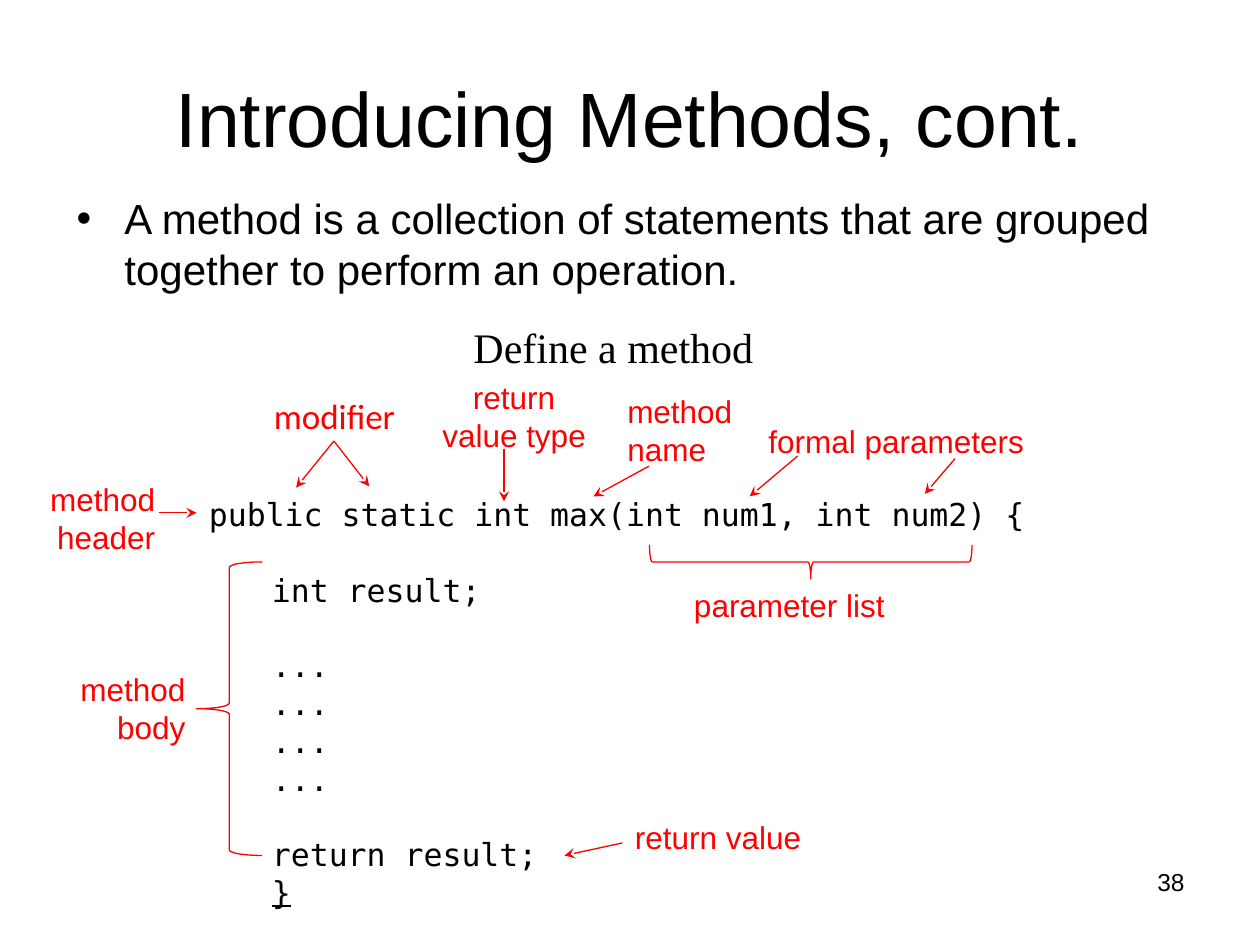
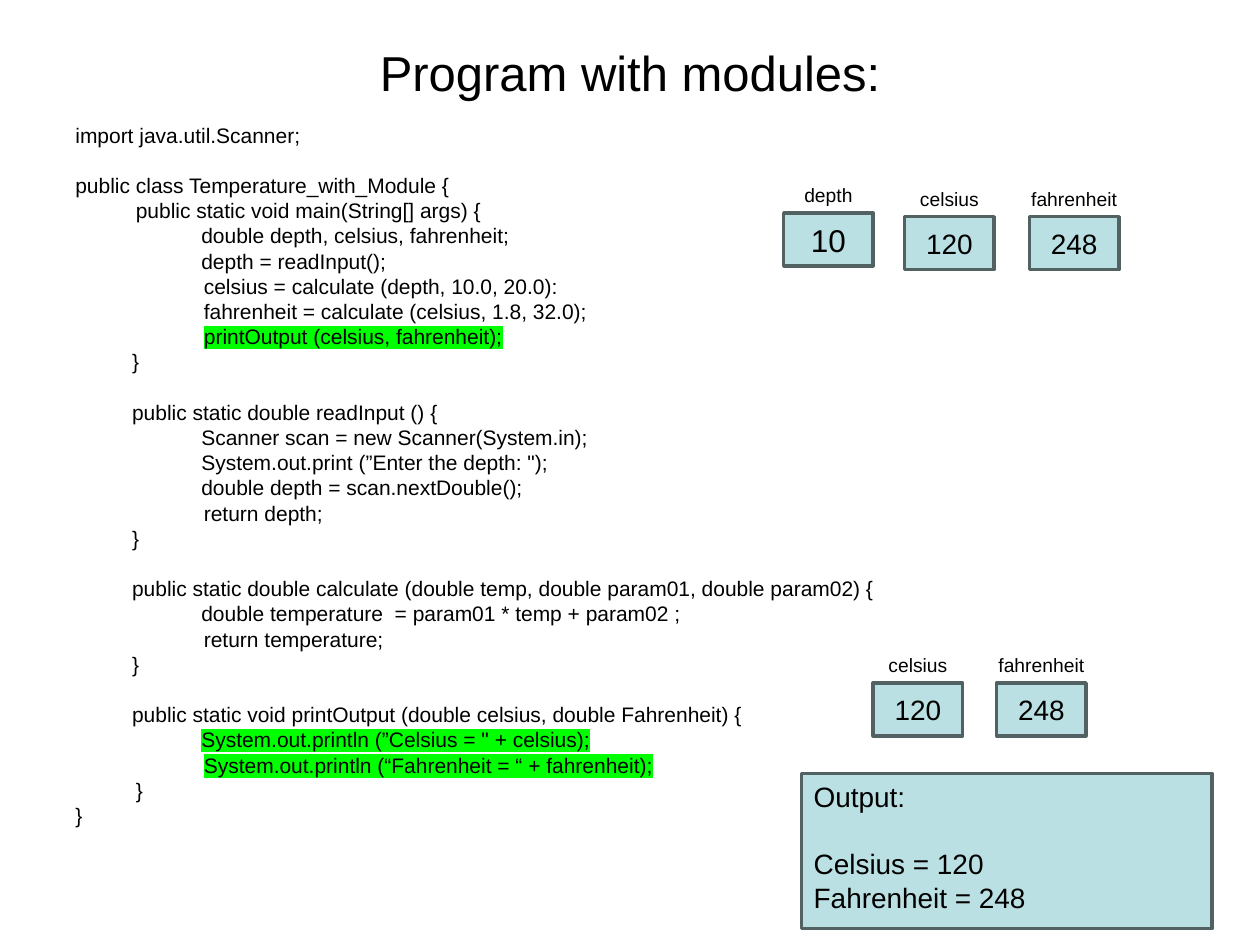
"""Build two slides on methods and modules in Java."""
from lxml.etree import SubElement
from pptx import Presentation
from pptx.dml.color import RGBColor
from pptx.enum.shapes import MSO_CONNECTOR, MSO_SHAPE
from pptx.enum.text import MSO_ANCHOR, PP_ALIGN
from pptx.oxml import parse_xml
from pptx.oxml.ns import nsdecls, qn
from pptx.util import Inches, Pt

RED, BLACK, TEAL, SLATE, GREEN = "FF0000", "000000", "BBE0E3", "526263", "00FF00"
LEFT, MID, RIGHT = PP_ALIGN.LEFT, PP_ALIGN.CENTER, PP_ALIGN.RIGHT
hue = RGBColor.from_string


def put(slide, at, text, size, align=LEFT, tint=BLACK, face="Arial",
        fill=None, center=False, marks=()):
    """Place text, in a filled box if asked; an empty line becomes a gap."""
    spot = [Inches(n) for n in at]
    if fill:
        box = slide.shapes.add_shape(MSO_SHAPE.RECTANGLE, *spot)
        box.shadow.inherit = False
        box.fill.solid()
        box.fill.fore_color.rgb = hue(fill)
        box.line.color.rgb = hue(SLATE)
        box.line.width = Pt(2)
    else:
        box = slide.shapes.add_textbox(*spot)
    frame = box.text_frame
    frame.word_wrap = at[3] > 0.5
    frame.vertical_anchor = MSO_ANCHOR.MIDDLE if center else MSO_ANCHOR.TOP
    lines = [(0, t) for t in text.split("\n")] if isinstance(text, str) else text
    para, gap = None, 0
    for indent, words in lines:
        if not words:
            gap += size * 1.2
            continue
        para = frame.add_paragraph() if para else frame.paragraphs[0]
        para.alignment = align
        if indent:
            para._p.get_or_add_pPr().set("marL", str(Inches(indent)))
        if gap:
            para.space_before, gap = Pt(gap), 0
        run = para.add_run()
        run.text = words
        for key, val in {"size": Pt(size), "name": face}.items():
            setattr(run.font, key, val)
        run.font.color.rgb = hue(tint)
        if words.startswith(marks):
            mark = parse_xml(f'<a:highlight {nsdecls("a")}><a:srgbClr val="{GREEN}"/></a:highlight>')
            run.font._element.find(qn("a:solidFill")).addnext(mark)
    return box


deck = Presentation()
deck.slide_width, deck.slide_height = Inches(10), Inches(7.5)
blank = deck.slide_layouts[6]

slide = deck.slides.add_slide(blank)
put(slide, (0.5, 0.3, 9, 1.25), "Introducing Methods, cont.", 44, MID, center=True)

body = put(slide, (0.51, 1.48, 9, 1.06),
           [(0.38, "A method is a collection of statements that are grouped "
                   "together to perform an operation.")], 24)
props = body.text_frame.paragraphs[0]._p.get_or_add_pPr()
props.set("indent", str(Inches(-0.38)))
SubElement(props, qn("a:buFont")).set("typeface", "Arial")
SubElement(props, qn("a:buChar")).set("char", "•")

put(slide, (7.17, 6.83, 2.33, 0.52), "38", 14, RIGHT)
put(slide, (3.66, 2.5, 2.44, 0.5), "Define a method", 24, face="Times New Roman")

code = put(slide, (1.56, 3.88, 7.34, 3.43), [
    (0, "public static int max(int num1, int num2) {"),
    (0, ""),
    (0.5, "int result;"),
    (0.5, ""),
    *[(0.5, "...")] * 4,
    (0.5, ""),
    (0.5, "return result;"),
    (0.5, "}"),
], 18, face="DejaVu Sans Mono")
code.text_frame.paragraphs[-1].runs[0].font.underline = True

note = put(slide, (2.09, 3.13, 1.13, 0.37), "modifier", 20, MID, RED, "Calibri")
for side in ("left", "top", "right", "bottom"):
    setattr(note.text_frame, f"margin_{side}", 0)

labels = [
    ((3.34, 2.95, 1.48, 0.71), "return value type", MID),
    ((4.88, 3.06, 1.12, 0.71), "method name", LEFT),
    ((6, 3.3, 2.25, 0.4), "formal parameters", LEFT),
    ((5.41, 4.6, 1.73, 0.4), "parameter list", LEFT),
    ((4.94, 6.44, 1.53, 0.4), "return value", LEFT),
    ((0.05, 3.76, 1.28, 0.71), "method\nheader", RIGHT),
    ((0.19, 5.27, 1.38, 0.71), "method\nbody", RIGHT),
]
for at, text, align in labels:
    put(slide, at, text, 18, align, RED)

arrows = [
    (2.65, 3.5, 2.35, 3.87), (2.65, 3.5, 2.93, 3.86), (4, 3.56, 4, 3.98),
    (5.15, 3.7, 4.71, 3.94), (6.33, 3.62, 5.95, 3.94), (7.58, 3.64, 7.34, 3.92),
    (4.94, 6.69, 4.48, 6.79), (1.26, 4.07, 1.56, 4.07),
]
for ends in arrows:
    link = slide.shapes.add_connector(MSO_CONNECTOR.STRAIGHT, *[Inches(n) for n in ends])
    link.line.color.rgb = hue(RED)
    link.line.width = Pt(0.75)
    props = link._element.spPr
    SubElement(props.find(qn("a:ln")), qn("a:tailEnd")).set("type", "stealth")
    SubElement(props, qn("a:effectLst"))

for at, turn in (((6.3, 3.18, 0.27, 2.56), 270), ((1.56, 4.46, 0.52, 2.33), 0)):
    brace = slide.shapes.add_shape(MSO_SHAPE.LEFT_BRACE, *[Inches(n) for n in at])
    brace.rotation = turn
    brace.shadow.inherit = False
    brace.fill.background()
    brace.line.color.rgb = hue(RED)
    brace.line.width = Pt(0.75)

slide = deck.slides.add_slide(blank)
put(slide, (0.5, 0.3, 9, 0.54), "Program with modules:", 28, MID, center=True)
put(slide, (0.5, 0.92, 9, 5.82), [
    (0, "import java.util.Scanner;"),
    (0, ""),
    (0, "public class Temperature_with_Module {"),
    (0.48, "public static void main(String[] args) {"),
    (1, "double depth, celsius, fahrenheit;"),
    (1, "depth = readInput();"),
    (1.02, "celsius = calculate (depth, 10.0, 20.0):"),
    (1.02, "fahrenheit = calculate (celsius, 1.8, 32.0);"),
    (1.02, "printOutput (celsius, fahrenheit);"),
    (0.45, "}"),
    (0, ""),
    (0.45, "public static double readInput () {"),
    (1, "Scanner scan = new Scanner(System.in);"),
    (1, "System.out.print (”Enter the depth: \");"),
    (1, "double depth = scan.nextDouble();"),
    (1.02, "return depth;"),
    (0.45, "}"),
    (0, ""),
    (0.45, "public static double calculate (double temp, double param01, double param02) {"),
    (1, "double temperature  = param01 * temp + param02 ;"),
    (1.02, "return temperature;"),
    (0.45, "}"),
    (0, ""),
    (0.45, "public static void printOutput (double celsius, double Fahrenheit) {"),
    (1, "System.out.println (”Celsius = \" + celsius);"),
    (1.02, "System.out.println (“Fahrenheit = “ + fahrenheit);"),
    (0.48, "}"),
    (0, "}"),
], 12, marks=("printOutput", "System.out.println"))

cells = [
    (6.22, 1.69, "depth", "10", 18),
    (7.18, 1.72, "celsius", "120", 16),
    (8.17, 1.72, "fahrenheit", "248", 16),
    (6.93, 5.42, "celsius", "120", 16),
    (7.91, 5.42, "fahrenheit", "248", 16),
]
for left, top, name, value, size in cells:
    put(slide, (left, top, 0.71, 0.42), value, size, MID, fill=TEAL, center=True)
    put(slide, (left - 0.1, top - 0.29, 0.91, 0.29), name, 11, MID, center=True)

put(slide, (6.36, 6.14, 3.26, 1.23), "Output:\n\nCelsius = 120\nFahrenheit = 248",
    16, fill=TEAL)

deck.save("out.pptx")
